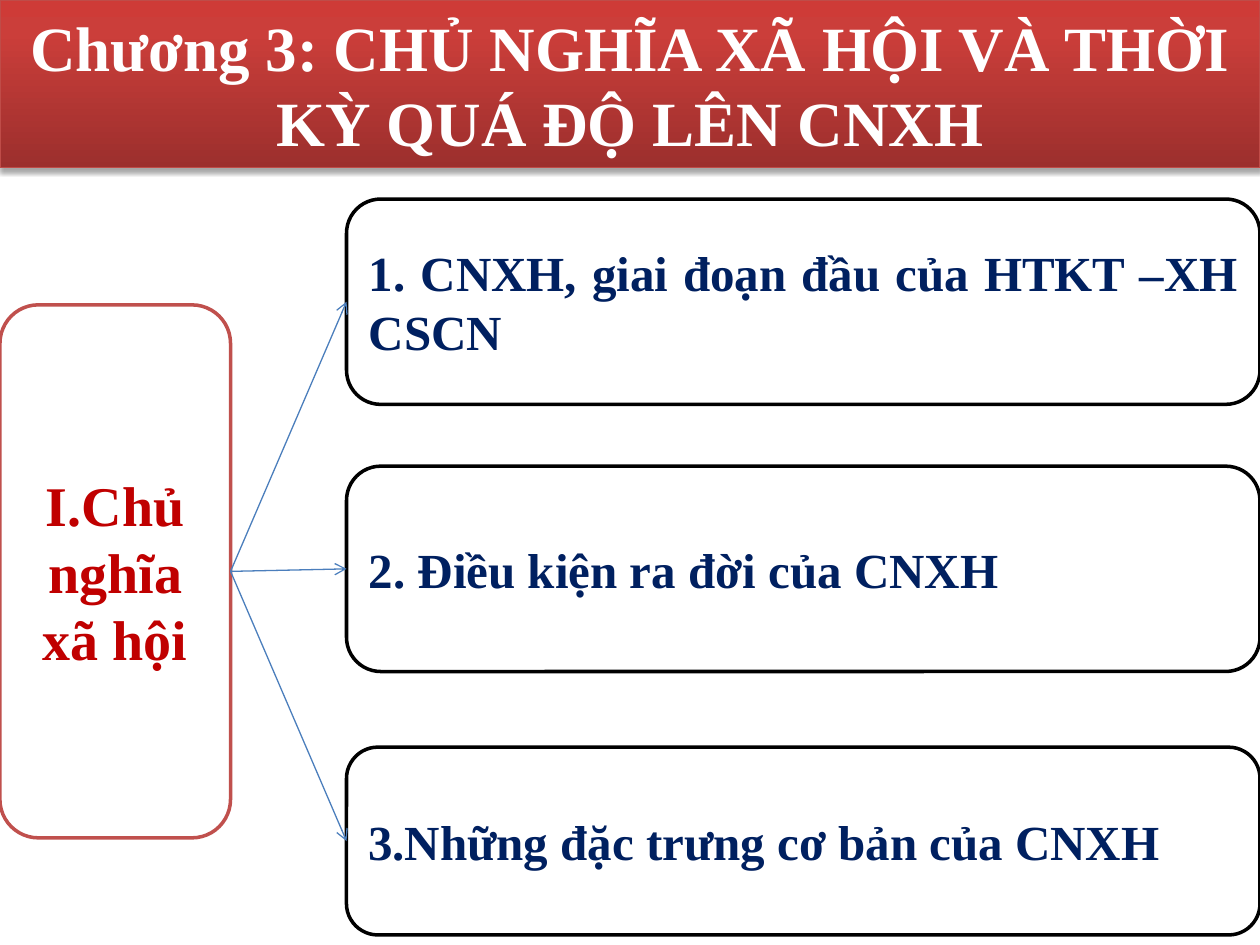
"""Build the chapter 3 overview slide: one section branching into three topics."""
import pptx
import pptx.util
from lxml import etree
from pptx.dml.color import RGBColor
from pptx.enum.shapes import MSO_CONNECTOR, MSO_SHAPE
from pptx.enum.text import MSO_ANCHOR, PP_ALIGN
from pptx.oxml.ns import qn
from pptx.util import Inches, Pt

FONT = "Times New Roman"
WHITE = RGBColor(0xFF, 0xFF, 0xFF)
BLACK = RGBColor(0x00, 0x00, 0x00)
NAVY = RGBColor(0x00, 0x20, 0x60)
RED = RGBColor(0xC0, 0x00, 0x00)
BRICK = RGBColor(0xC0, 0x50, 0x4D)
TITLE_EDGE = RGBColor(0xBF, 0x4C, 0x48)
ARROW_BLUE = RGBColor(0x4B, 0x7E, 0xBC)
TITLE_STOPS = [
    (0, RGBColor(0x9C, 0x2F, 0x2D)),
    (80, RGBColor(0xCB, 0x3E, 0x3A)),
    (100, RGBColor(0xCE, 0x3B, 0x37)),
]

TITLE = "Chương 3: CHỦ NGHĨA XÃ HỘI VÀ THỜI KỲ QUÁ ĐỘ LÊN CNXH"
SECTION = "I.Chủ nghĩa xã hội"
TOPICS = [
    ("1. CNXH, giai đoạn đầu của HTKT –XH CSCN", 1.58, 1.63, PP_ALIGN.JUSTIFY),
    ("2. Điều kiện ra đời của CNXH", 3.7, 1.63, PP_ALIGN.JUSTIFY),
    ("3.Những đặc trưng cơ bản của CNXH", 5.93, 1.49, PP_ALIGN.LEFT),
]
TOPIC_LEFT, TOPIC_WIDTH = 2.75, 7.25
LEFT_SIDE, RIGHT_SIDE = 1, 3


def add_box(page, kind, place, text, size, color, align, edge, edge_width):
    box = page.shapes.add_shape(kind, *map(Inches, place))
    box.shadow.inherit = False
    box.fill.solid()
    box.fill.fore_color.rgb = WHITE
    box.line.color.rgb = edge
    box.line.width = Pt(edge_width)
    frame = box.text_frame
    frame.word_wrap = True
    frame.vertical_anchor = MSO_ANCHOR.MIDDLE
    frame.text = text
    para = frame.paragraphs[0]
    para.alignment = align
    font = para.runs[0].font
    font.name, font.size, font.bold = FONT, Pt(size), True
    font.color.rgb = color
    return box


def add_color(parent, color):
    return etree.SubElement(parent, qn("a:srgbClr"), val=str(color))


def style_title(box):
    box.fill.gradient()
    box.fill.gradient_angle = 90
    properties = box._element.spPr
    stops = properties.find(qn("a:gradFill")).find(qn("a:gsLst"))
    for stop in list(stops):
        stops.remove(stop)
    for percent, color in TITLE_STOPS:
        add_color(etree.SubElement(stops, qn("a:gs"), pos=str(percent * 1000)), color)
    shadow = etree.SubElement(
        properties.find(qn("a:effectLst")), qn("a:outerShdw"),
        blurRad=str(Pt(3.1)), dist=str(Pt(1.8)), dir="5400000", rotWithShape="0")
    etree.SubElement(add_color(shadow, BLACK), qn("a:alpha"), val="35000")


def add_arrow(page, start, end):
    arrow = page.shapes.add_connector(MSO_CONNECTOR.STRAIGHT, 0, 0, 0, 0)
    arrow.begin_connect(start, RIGHT_SIDE)
    arrow.end_connect(end, LEFT_SIDE)
    arrow.line.color.rgb = ARROW_BLUE
    arrow.line.width = Pt(0.75)
    etree.SubElement(arrow.line._get_or_add_ln(), qn("a:tailEnd"), type="arrow")
    etree.SubElement(arrow._element.spPr, qn("a:effectLst"))


def main():
    deck = pptx.Presentation()
    deck.slide_width, deck.slide_height = Inches(10), Inches(7.5)
    page = deck.slides.add_slide(deck.slide_layouts[6])

    title = add_box(page, MSO_SHAPE.RECTANGLE, (0, 0, 10, 1.33), TITLE, 36,
                    WHITE, PP_ALIGN.CENTER, TITLE_EDGE, 0.75)
    style_title(title)
    section = add_box(page, MSO_SHAPE.ROUNDED_RECTANGLE, (0, 2.42, 1.83, 4.23),
                      SECTION, 32, RED, PP_ALIGN.CENTER, BRICK, 2)
    topics = [
        add_box(page, MSO_SHAPE.ROUNDED_RECTANGLE,
                (TOPIC_LEFT, top, TOPIC_WIDTH, height),
                text, 28, NAVY, align, BLACK, 2)
        for text, top, height, align in TOPICS
    ]
    for topic in topics:
        add_arrow(page, section, topic)

    deck.save("out.pptx")


if __name__ == "__main__":
    main()
